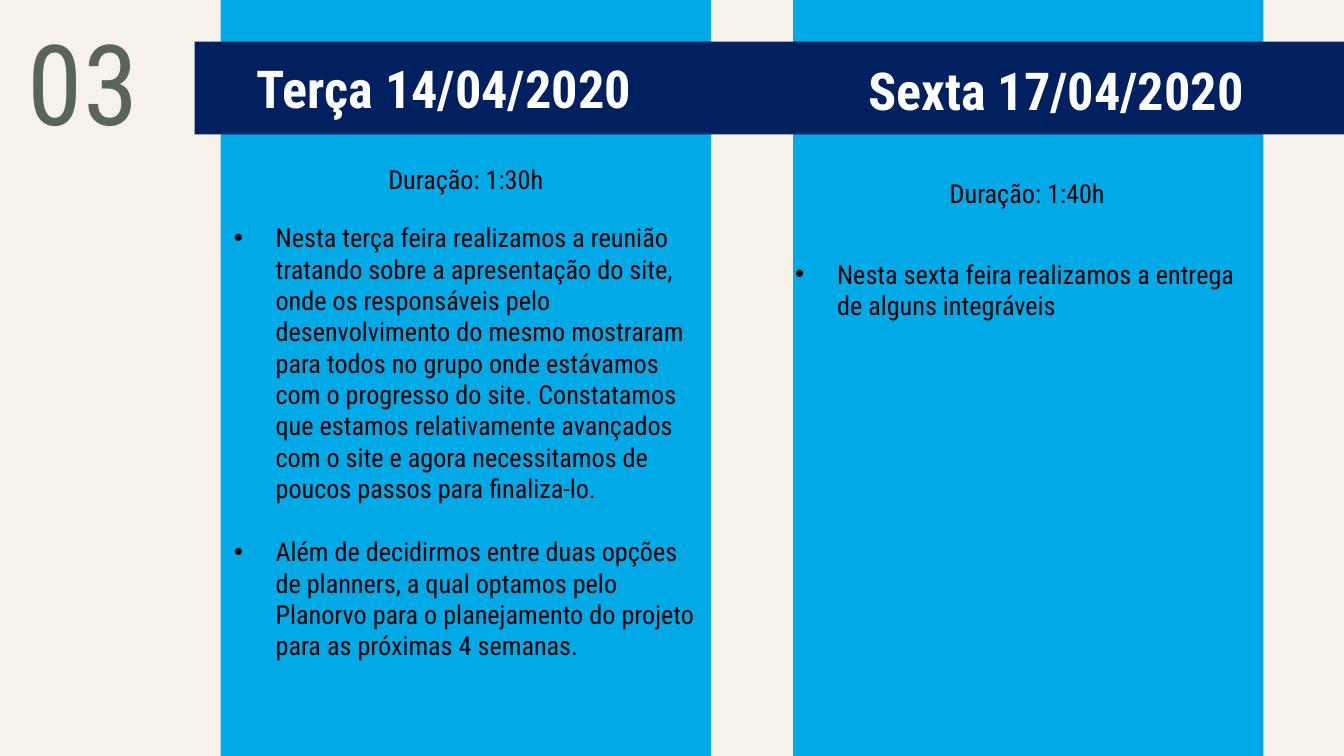
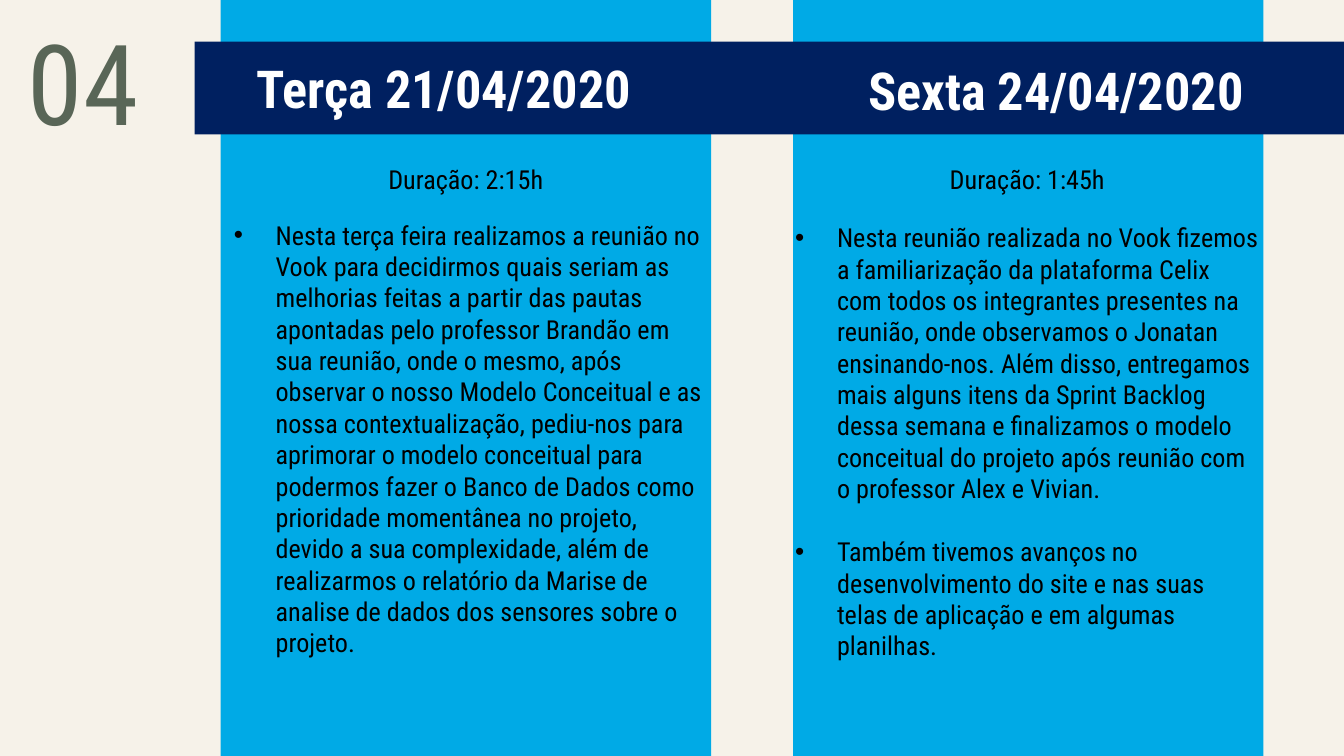
from lxml import etree
from pptx import Presentation
from pptx.dml.color import RGBColor
from pptx.enum import shapes, text
from pptx.oxml import ns
from pptx.util import Cm, Pt

FONT = "Roboto Condensed"
CREAM, BLUE, NAVY = "F6F2E9", "00AAE6", "002060"
GREY, WHITE, BLACK = "596657", "FFFFFF", "000000"
LEFT, CENTER, RIGHT = text.PP_ALIGN.LEFT, text.PP_ALIGN.CENTER, text.PP_ALIGN.RIGHT
TOP, BOTTOM = text.MSO_ANCHOR.TOP, text.MSO_ANCHOR.BOTTOM
BULLET_INDENT = Cm(0.79)
BULLET_GAP = Pt(17)


def color(value):
    return RGBColor.from_string(value)


def write(paragraph, content, size=14, ink=BLACK, bold=False, align=LEFT):
    paragraph.alignment = align
    run = paragraph.add_run()
    run.text = content
    run.font.name = FONT
    run.font.size = Pt(size)
    run.font.bold = bold
    run.font.color.rgb = color(ink)


def add_bullet(paragraph):
    properties = paragraph._p.get_or_add_pPr()
    properties.set("marL", str(BULLET_INDENT))
    properties.set("indent", str(-BULLET_INDENT))
    etree.SubElement(properties, ns.qn("a:buFont")).set("typeface", "Arial")
    etree.SubElement(properties, ns.qn("a:buChar")).set("char", "•")


class Report:
    def __init__(self):
        self.presentation = Presentation()
        self.presentation.slide_width = Cm(25.4)
        self.presentation.slide_height = Cm(14.29)
        self.slide = None

    def new_slide(self):
        self.slide = self.presentation.slides.add_slide(self.presentation.slide_layouts[6])
        fill = self.slide.background.fill
        fill.solid()
        fill.fore_color.rgb = color(CREAM)

    def rectangle(self, left, top, width, height, fill):
        shape = self.slide.shapes.add_shape(
            shapes.MSO_SHAPE.RECTANGLE, Cm(left), Cm(top), Cm(width), Cm(height))
        shape.shadow.inherit = False
        shape.fill.solid()
        shape.fill.fore_color.rgb = color(fill)
        shape.line.fill.background()

    def frame(self, left, top, width, height, anchor=TOP, inset=0.13):
        box = self.slide.shapes.add_textbox(Cm(left), Cm(top), Cm(width), Cm(height))
        frame = box.text_frame
        frame.word_wrap = True
        frame.vertical_anchor = anchor
        frame.margin_top = frame.margin_bottom = Cm(inset)
        frame.margin_left = frame.margin_right = Cm(0.25)
        return frame

    def label(self, content, left, top, width, height, anchor=TOP, inset=0.13, **style):
        frame = self.frame(left, top, width, height, anchor, inset)
        write(frame.paragraphs[0], content, **style)

    def bullets(self, items, left, top, width, height):
        frame = self.frame(left, top, width, height)
        for index, item in enumerate(items):
            paragraph = frame.add_paragraph() if index else frame.paragraphs[0]
            if index:
                paragraph.space_before = BULLET_GAP
            write(paragraph, item)
            add_bullet(paragraph)

    def meeting(self, left, duration, duration_top, items, items_top, width, height):
        self.label(f"Duração: {duration}", left, duration_top, 9.27, 0.86, align=CENTER)
        self.bullets(items, left, items_top, width, height)

    def week(self, number, tuesday, friday, tuesday_meeting, friday_meeting):
        self.new_slide()
        self.rectangle(4.17, 0, 9.27, 14.29, BLUE)
        self.rectangle(14.99, 0, 8.89, 14.29, BLUE)
        self.rectangle(3.68, 0.79, 21.72, 1.75, NAVY)
        self.label(number, 0.28, 0, 3.43, 2.92, inset=0.25, size=60, ink=GREY)
        heading = dict(size=28, ink=WHITE, bold=True)
        self.label(f"Terça {tuesday}", 4.6, 0.94, 8.46, 1.45, **heading)
        self.label(f"Sexta {friday}", 14.25, 0.79, 9.5, 1.75,
                   anchor=BOTTOM, inset=0.25, align=RIGHT, **heading)
        self.meeting(4.17, **tuesday_meeting)
        self.meeting(14.78, **friday_meeting)


def main():
    report = Report()
    report.week(
        "03", "14/04/2020", "17/04/2020",
        dict(duration="1:30h", duration_top=2.95, items_top=4.06, width=9.27, height=9.83, items=[
            "Nesta terça feira realizamos a reunião tratando sobre a apresentação do site, "
            "onde os responsáveis pelo desenvolvimento do mesmo mostraram para todos no grupo "
            "onde estávamos com o progresso do site. Constatamos que estamos relativamente "
            "avançados com o site e agora necessitamos de poucos passos para finaliza-lo.",
            "Além de decidirmos entre duas opções de planners, a qual optamos pelo Planorvo "
            "para o planejamento do projeto para as próximas 4 semanas.",
        ]),
        dict(duration="1:40h", duration_top=3.23, items_top=4.75, width=9.27, height=1.45, items=[
            "Nesta sexta feira realizamos a entrega de alguns integráveis",
        ]),
    )
    report.week(
        "04", "21/04/2020", "24/04/2020",
        dict(duration="2:15h", duration_top=2.95, items_top=4.01, width=9.5, height=9.25, items=[
            "Nesta terça feira realizamos a reunião no Vook para decidirmos quais seriam as "
            "melhorias feitas a partir das pautas apontadas pelo professor Brandão em sua "
            "reunião, onde o mesmo, após observar o nosso Modelo Conceitual e as nossa "
            "contextualização, pediu-nos para aprimorar o modelo conceitual para podermos "
            "fazer o Banco de Dados como prioridade momentânea no projeto, devido a sua "
            "complexidade, além de realizarmos o relatório da Marise de analise de dados "
            "dos sensores sobre o projeto.",
        ]),
        dict(duration="1:45h", duration_top=2.95, items_top=4.06, width=9.27, height=9.83, items=[
            "Nesta reunião realizada no Vook fizemos a familiarização da plataforma Celix "
            "com todos os integrantes presentes na reunião, onde observamos o Jonatan "
            "ensinando-nos. Além disso, entregamos mais alguns itens da Sprint Backlog dessa "
            "semana e finalizamos o modelo conceitual do projeto após reunião com o professor "
            "Alex e Vivian.",
            "Também tivemos avanços no desenvolvimento do site e nas suas telas de aplicação "
            "e em algumas planilhas.",
        ]),
    )
    report.presentation.save("out.pptx")


if __name__ == "__main__":
    main()
